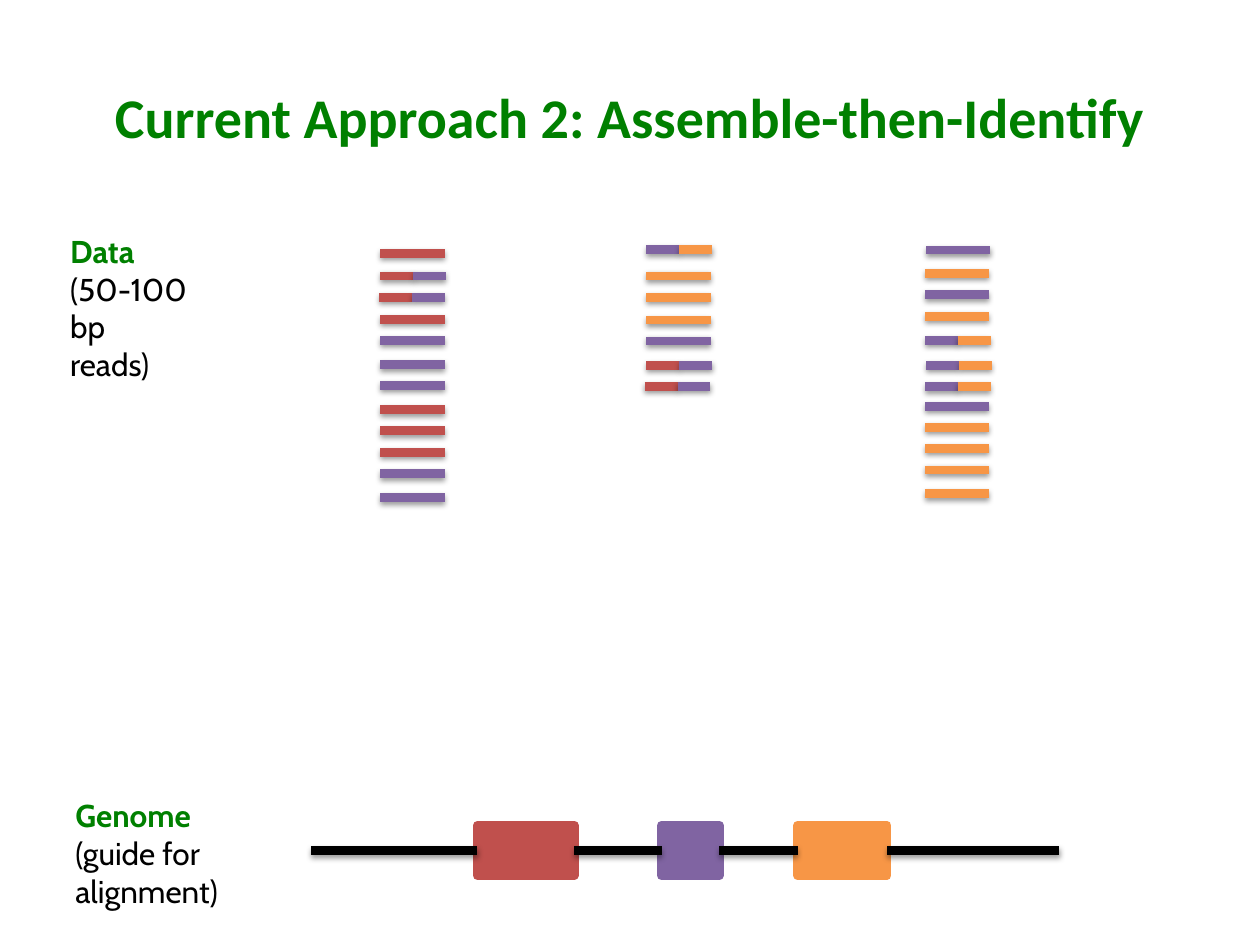
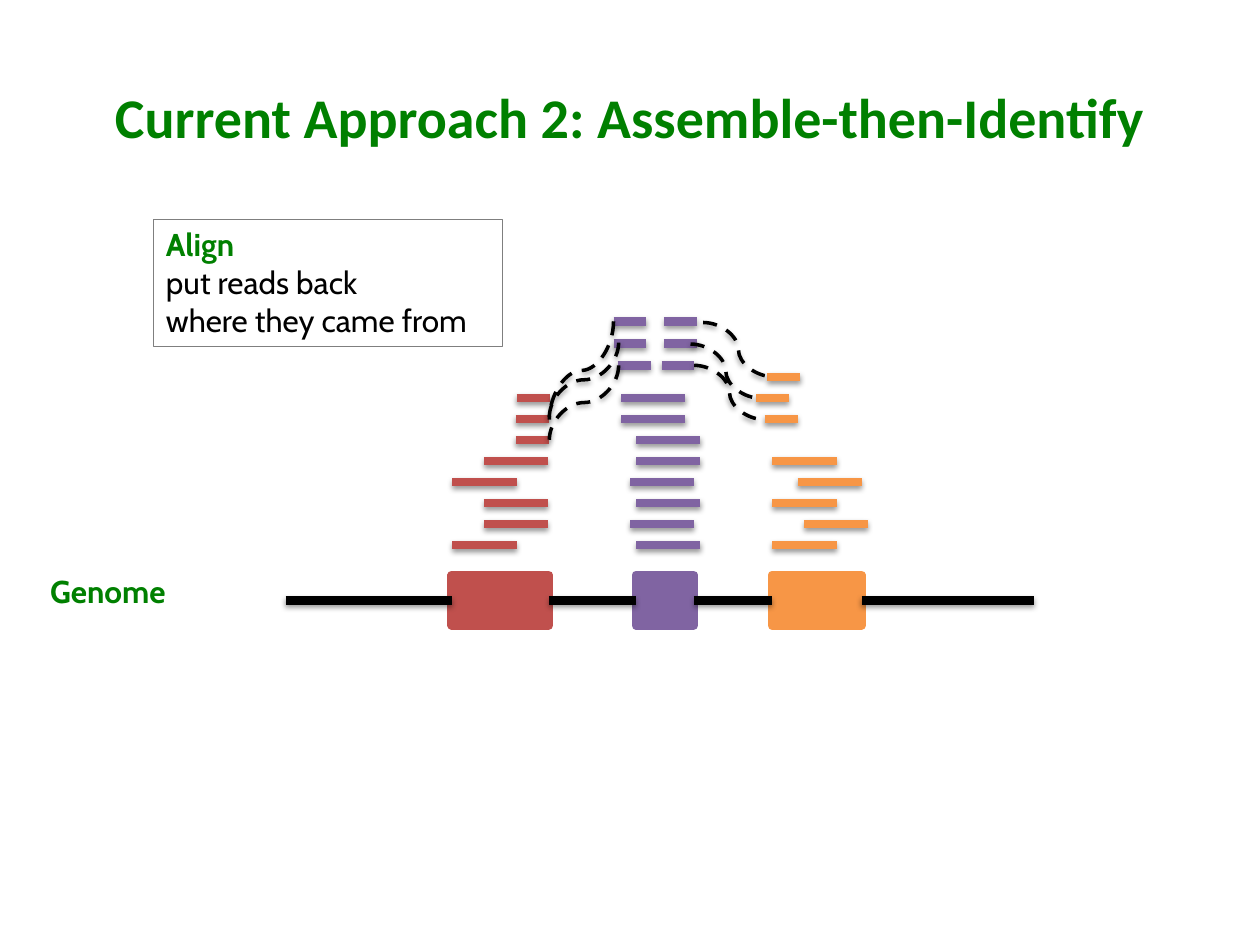
from lxml import etree
from pptx import Presentation
from pptx.dml.color import RGBColor
from pptx.enum import dml, shapes, text
from pptx.oxml import ns
from pptx.util import Pt

# Content
TITLE = "Current Approach 2: Assemble-then-Identify"
HUES = {"R": "C0504D", "P": "8064A2", "O": "F79646",
        "green": "008000", "black": "000000", "gray": "7F7F7F"}

# Exons on the genome: hue, offset from its left end, width
EXONS = [("R", 95, 55.4), ("P", 200.2, 33.1), ("O", 278, 51.1)]
SPAN, TALL = 427.5, 28.8

# Mixed samples: left edge, then reads as (hues, height on slide, shift)
DATA = [
    (217.4, [("R", 144.7, 0), ("RP", 157.7, 0), ("RP", 169.9, -0.7), ("R", 182.5, 0),
             ("P", 194.4, 0), ("P", 208.4, 0), ("P", 220.3, 0), ("R", 234, 0),
             ("R", 246.2, 0), ("R", 258.5, 0), ("P", 270.7, 0), ("P", 284.4, 0)]),
    (369.4, [("PO", 142.6, 0), ("O", 157.7, 0), ("O", 169.9, 0), ("O", 182.9, 0),
             ("P", 194.8, 0), ("RP", 208.8, 0), ("RP", 220.7, -1)]),
    (528.5, [("P", 142.9, 0.7), ("O", 156.2, 0), ("P", 168.5, 0), ("O", 180.7, 0),
             ("PO", 194.4, 0), ("PO", 208.8, 0.7), ("PO", 221, 0), ("P", 232.2, 0),
             ("O", 244.1, 0), ("O", 256.3, 0), ("O", 268.6, 0), ("O", 282.2, 0)]),
]
FULL, HALF = 36.7, 18.8

# Aligned reads, piled upwards: hue, lowest height, step, length, left edges
PILES = [
    ("R", 311.5, 12, FULL, [258.5, 276.5, 276.5, 258.5, 276.5]),
    ("R", 251.5, 12, HALF, [294.7, 294.7, 295.3]),
    ("P", 311.5, 12, FULL, [363.6, 360, 363.6, 360, 363.6, 363.6, 355, 355]),
    ("P", 208.8, 12.5, HALF, [353, 350.6, 350.6]),
    ("P", 208.8, 12.5, HALF, [378, 379.4, 379.4]),
    ("O", 311.5, 12, FULL, [441.4, 459.4, 441.4, 455.8, 441.4]),
    ("O", 239.5, 12, HALF, [437, 432, 438.5]),
]
# Links between the halves of split reads: start and end points
FALLS = [(350.6, 183.6, 313.9, 239.8), (353.5, 208.8, 313.9, 251.3),
         (353.5, 195.8, 313.9, 238.3)]
BENDS = [(x, y, x + 40.3, y + 31)
         for x, y in [(396.7, 208.8), (394.6, 196.6), (401.8, 184.3)]]

SHADE = f"""<a:effectLst xmlns:a="{ns.nsdecls('a').split('"')[1]}">
<a:outerShdw blurRad="{Pt(3.1)}" dist="{Pt(1.6)}" dir="5400000" rotWithShape="0">
<a:srgbClr val="000000"><a:alpha val="38000"/></a:srgbClr></a:outerShdw></a:effectLst>"""


def tint(name):
    return RGBColor.from_string(HUES[name])


def link(home, ends, hue, width=5, kind=shapes.MSO_CONNECTOR.STRAIGHT):
    """Draw a shaded connector between two points."""
    wire = home.add_connector(kind, *map(Pt, ends))
    wire.line.color.rgb = tint(hue)
    wire.line.width = Pt(width)
    wire._element.spPr.append(etree.fromstring(SHADE))
    return wire


def curve(home, ends, upright=False):
    """Draw a dashed curve; an upright one leaves its start vertically."""
    x1, y1, x2, y2 = ends
    if upright:
        midx, midy = (x1 + x2) / 2, (y1 + y2) / 2
        w, h = y2 - y1, x1 - x2
        ends = (midx - w / 2, midy - h / 2, midx + w / 2, midy + h / 2)
    wire = link(home, ends, "black", 2, shapes.MSO_CONNECTOR.CURVE)
    wire.line.dash_style = dml.MSO_LINE.DASH
    if upright:
        wire._element.spPr.find(ns.qn("a:xfrm")).set("rot", "5400000")


def read(home, hues, x, y, size):
    for i, hue in enumerate(hues):
        link(home, (x + i * size, y, x + (i + 1) * size, y), hue)


def label(home, lines, x, y, w, h):
    """Write a green bold heading with plain lines below it."""
    box = home.add_textbox(*map(Pt, (x, y, w, h)))
    frame = box.text_frame
    frame.word_wrap = True
    frame.text = "\n".join(lines)
    for i, para in enumerate(frame.paragraphs):
        para.font.name, para.font.size = "Cabin", Pt(18)
        para.font.bold = i == 0
        para.font.color.rgb = tint("black" if i else "green")
    return box


def genome(home, x, mid):
    """Draw the exons and the strands that join them."""
    boxes = []
    for hue, left, w in EXONS:
        box = home.add_shape(shapes.MSO_SHAPE.RECTANGLE,
                             *map(Pt, (x + left, mid - TALL / 2, w, TALL)))
        box.shadow.inherit = False
        box.fill.solid()
        box.fill.fore_color.rgb = box.line.color.rgb = tint(hue)
        box.line.width = Pt(5)
        boxes.append(box)
    for prior, after in zip([None] + boxes, boxes + [None]):
        strand = link(home, (x, mid, x + SPAN, mid), "black")
        if prior:
            strand.begin_connect(prior, 3)
        if after:
            strand.end_connect(after, 1)


def page(deck):
    slide = deck.slides.add_slide(deck.slide_layouts[5])
    head = slide.shapes.title
    head.left, head.top, head.width, head.height = map(Pt, (36, 21.6, 648, 90))
    frame = head.text_frame
    frame.text = TITLE
    frame.vertical_anchor = text.MSO_ANCHOR.MIDDLE
    para = frame.paragraphs[0]
    para.alignment = text.PP_ALIGN.CENTER
    para.font.name, para.font.size, para.font.bold = "Calibri", Pt(32), True
    para.font.color.rgb = tint("green")
    return slide.shapes


def main():
    deck = Presentation()
    deck.slide_width, deck.slide_height = Pt(720), Pt(540)

    # Slide 1: unplaced reads above the genome
    home = page(deck)
    genome(home, 177.8, 486)
    label(home, ["Genome", "(guide for", "alignment)"], 36, 451.4, 102.2, 72.7)
    group = home.add_group_shape().shapes
    label(group, ["Data", "(50-100 bp", "reads)"], 33, 128.9, 101.5, 72.7)
    for x, reads in DATA:
        for hues, y, shift in reads:
            read(group, hues, x + shift, y, FULL if len(hues) == 1 else HALF)

    # Slide 2: reads aligned to their exons
    home = page(deck)
    genome(home, 163.2, 343)
    label(home, ["Genome"], 21.6, 323.3, 84.2, 28.8)
    for hue, base, step, size, lefts in PILES:
        for i, x in enumerate(lefts):
            read(home, hue, x, base - i * step, size)
    for ends in BENDS:
        curve(home, ends)
    for ends in FALLS:
        curve(home, ends, upright=True)
    note = label(home, ["Align", "put reads back", "where they came from"],
                 87.8, 125.3, 199.4, 72.7)
    note.line.color.rgb = tint("gray")
    note.line.width = Pt(0.75)

    deck.save("out.pptx")


if __name__ == "__main__":
    main()
